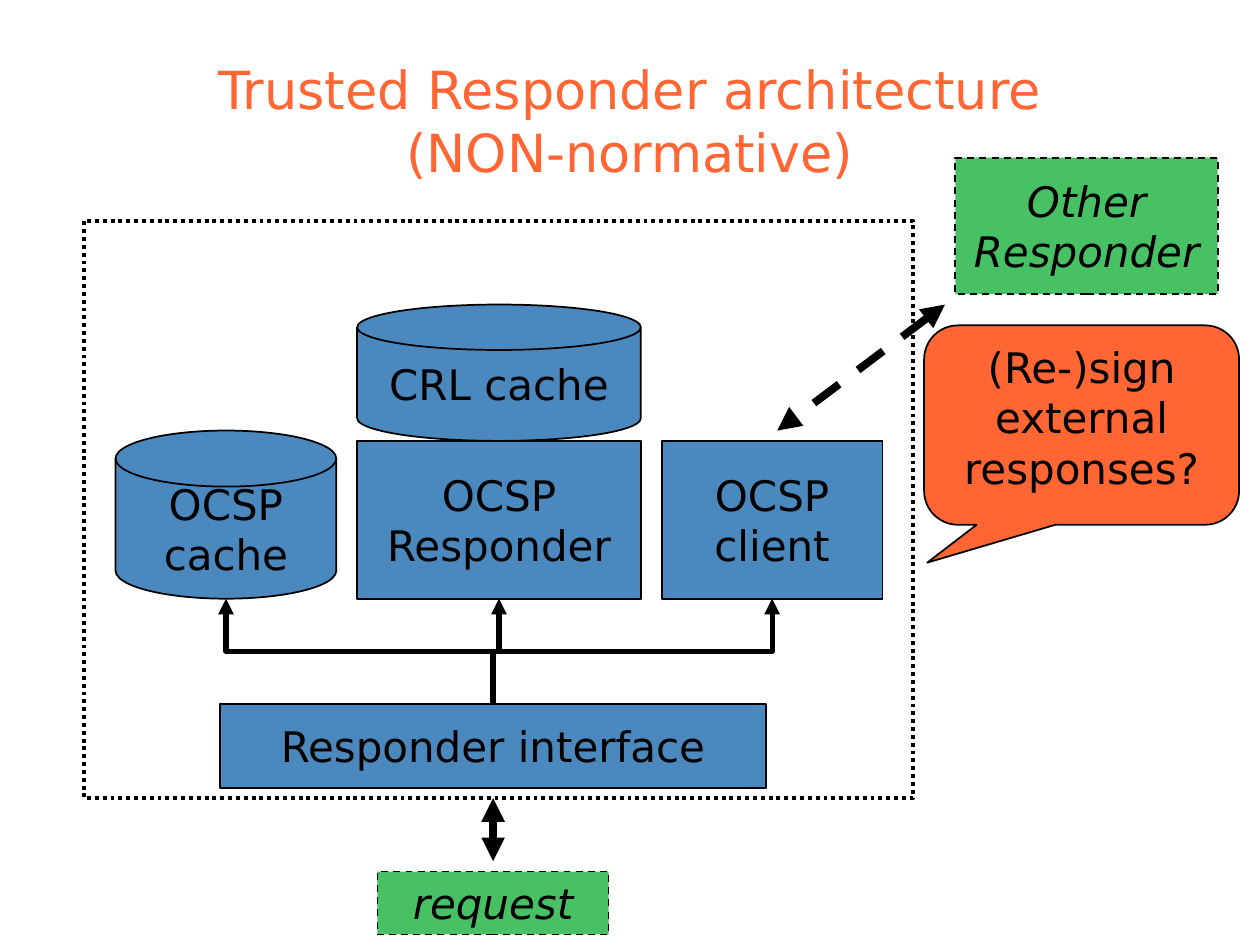
from lxml import etree
from pptx import Presentation
from pptx.dml.color import RGBColor
from pptx.enum.dml import MSO_LINE as Dash
from pptx.enum.shapes import MSO_CONNECTOR as Link, MSO_SHAPE as Shape
from pptx.enum.text import MSO_ANCHOR as Anchor, PP_ALIGN as Align
from pptx.oxml.ns import qn
from pptx.util import Cm, Pt

FONT = "DejaVu Sans"
BLACK, BLUE, GREEN, ORANGE = "000000", "4B88BD", "47C164", "FF6633"


def color(value):
    return RGBColor.from_string(value)


def write(box, text, size=24, ink=BLACK, italic=False, anchor=Anchor.MIDDLE, wrap=False):
    frame = box.text_frame
    frame.word_wrap = wrap
    frame.vertical_anchor = anchor
    para = frame.paragraphs[0]
    para.text = text
    para.alignment = Align.CENTER
    for span in para.runs:
        font = span.font
        font.name, font.size, font.italic = FONT, Pt(size), italic
        font.color.rgb = color(ink)


def add_box(page, left, top, width, height, kind=Shape.RECTANGLE, fill=BLUE, weight=1, dash=None):
    box = page.shapes.add_shape(kind, Cm(left), Cm(top), Cm(width), Cm(height))
    box.shadow.inherit = False
    if fill:
        box.fill.solid()
        box.fill.fore_color.rgb = color(fill)
    else:
        box.fill.background()
    box.line.color.rgb = color(BLACK)
    box.line.width = Pt(weight)
    if dash:
        box.line.dash_style = dash
    return box


def add_arrow(page, x1, y1, x2, y2, kind=Link.STRAIGHT, weight=4.5, dash=None, ends=("headEnd", "tailEnd")):
    arrow = page.shapes.add_connector(kind, Cm(x1), Cm(y1), Cm(x2), Cm(y2))
    arrow.line.color.rgb = color(BLACK)
    arrow.line.width = Pt(weight)
    if dash:
        arrow.line.dash_style = dash
    properties = arrow.element.spPr
    for end in ends:
        etree.SubElement(properties.find(qn("a:ln")), qn("a:" + end), type="triangle")
    etree.SubElement(properties, qn("a:effectLst"))
    return arrow


def add_upward_elbow(page, x1, y1, x2, y2):
    """Leave upwards, cross halfway, arrive upwards: an elbow turned by a quarter."""
    middle_x, middle_y = (x1 + x2) / 2, (y1 + y2) / 2
    half_rise, half_run = (y1 - y2) / 2, abs(x2 - x1) / 2
    side = 1 if x2 > x1 else -1
    arrow = add_arrow(page, middle_x + side * half_rise, middle_y + half_run,
                      middle_x - side * half_rise, middle_y - half_run,
                      kind=Link.ELBOW, weight=3, ends=("tailEnd",))
    quarter_turns = 1 if side > 0 else 3
    arrow.element.spPr.find(qn("a:xfrm")).set("rot", str(quarter_turns * 5400000))


def add_title(page, left, top, width, height):
    box = page.shapes.add_textbox(Cm(left), Cm(top), Cm(width), Cm(height))
    write(box, "Trusted Responder architecture\n(NON-normative)", size=30, ink=ORANGE,
          anchor=Anchor.BOTTOM, wrap=True)


def add_responder(page, left, top, width, height):
    # Row of parts standing on one base line
    margin, gap, base = 0.64, 0.42, top + 7.62
    parts = [("OCSP\ncache", Shape.FLOWCHART_MAGNETIC_DISK, 4.45, 3.39),
             ("OCSP\nResponder", Shape.RECTANGLE, 5.72, 3.18),
             ("OCSP\nclient", Shape.RECTANGLE, 4.45, 3.18)]
    centers = []
    x = left + margin
    for text, kind, part_width, part_height in parts:
        write(add_box(page, x, base - part_height, part_width, part_height, kind), text)
        centers.append(x + part_width / 2)
        x += part_width + gap

    # Cache on top of the middle part
    cache = add_box(page, centers[1] - 2.86, top + 1.69, 5.72, 2.75, Shape.FLOWCHART_MAGNETIC_DISK)
    write(cache, "CRL cache")

    # Interface feeding every part
    interface_left, interface_top, interface_width = left + 2.75, top + 9.74, 11.0
    write(add_box(page, interface_left, interface_top, interface_width, 1.69), "Responder interface")
    for center in centers:
        add_upward_elbow(page, interface_left + interface_width / 2, interface_top, center, base)

    # Dotted boundary
    add_box(page, left, top, width, height, fill=None, weight=2.25, dash=Dash.ROUND_DOT)


def add_request(page, left, top, width, height):
    center = left + width / 2
    add_arrow(page, center, top, center, top + 1.27)
    box_top = top + 1.48
    write(add_box(page, left, box_top, width, height - 1.48, fill=GREEN, dash=Dash.DASH),
          "request", italic=True)


def add_external(page, left, top, width, height):
    # Other responder and its link to the client
    other = add_box(page, left + 2.96, top, 5.29, 2.75, fill=GREEN, dash=Dash.DASH)
    write(other, "Other\nResponder", italic=True)
    add_arrow(page, left + 2.75, top + 2.96, left - 0.63, top + 5.5, dash=Dash.DASH)

    # Question about external responses
    callout_width, callout_height = 6.35, 4.02
    callout = add_box(page, left + width - callout_width, top + height - callout_height,
                      callout_width, callout_height, Shape.ROUNDED_RECTANGULAR_CALLOUT, ORANGE)
    for index, value in enumerate((-0.49, 0.69, 0.17)):
        callout.adjustments[index] = value
    write(callout, "(Re-)sign\nexternal\nresponses?", anchor=Anchor.TOP, wrap=True)


def main():
    deck = Presentation()
    deck.slide_width, deck.slide_height = Cm(25.4), Cm(19.05)
    page = deck.slides.add_slide(deck.slide_layouts[6])
    add_title(page, 1.9, 1.7, 21.6, 2.11)
    add_responder(page, 1.69, 4.45, 16.72, 11.64)
    add_request(page, 7.61, 16.09, 4.66, 2.75)
    add_external(page, 16.3, 3.18, 8.68, 7.4)
    deck.save("out.pptx")


if __name__ == "__main__":
    main()
